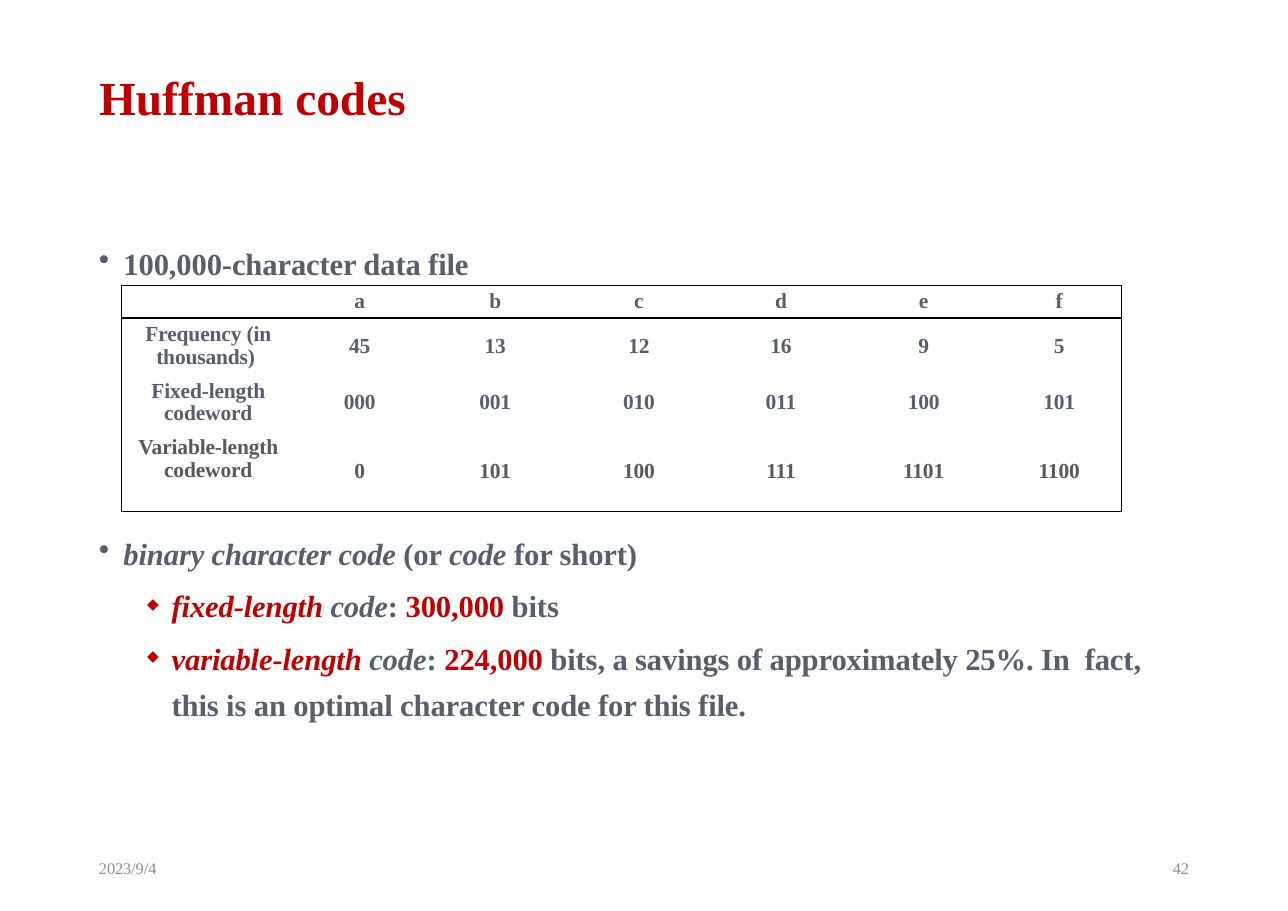
from lxml import etree
from pptx import Presentation
from pptx import util as u
from pptx.dml.color import RGBColor
from pptx.enum import text
from pptx.oxml.ns import qn

COLORS = {"red": "C00000", "slate": "575F6D", "gray": "595959",
          "footer": "8C8C8C", "border": "000000"}


def style_run(run, size, color, bold=True, italic=False, tracking=0):
    """Format a run; tracking is in hundredths of a point."""
    font = run.font
    font.name, font.size = "Times New Roman", u.Pt(size)
    font.bold, font.italic = bold, italic
    font.color.rgb = RGBColor.from_string(COLORS[color])
    if tracking:
        run._r.get_or_add_rPr().set("spc", str(tracking))


presentation = Presentation()
presentation.slide_width, presentation.slide_height = u.Pt(841.7), u.Pt(595.4)
slide = presentation.slides.add_slide(presentation.slide_layouts[5])

# Title
title = slide.shapes.title
title.left, title.top, title.width, title.height = map(u.Pt, (57.6, 18.7, 721.4, 93.6))
title.text_frame.text = "Huffman codes"
title.text_frame.vertical_anchor = text.MSO_ANCHOR.MIDDLE
paragraph = title.text_frame.paragraphs[0]
paragraph.alignment = text.PP_ALIGN.LEFT
paragraph.line_spacing = 0.9
style_run(paragraph.runs[0], 31, "red")

# Date and slide number
for left, label, alignment in ((57.6, "2023/9/4", text.PP_ALIGN.LEFT),
                               (594.7, "42", text.PP_ALIGN.RIGHT)):
    footer = slide.shapes.add_textbox(u.Pt(left), u.Pt(551.5), u.Pt(189.4), u.Pt(31.7))
    footer.text_frame.word_wrap = True
    footer.text_frame.vertical_anchor = text.MSO_ANCHOR.MIDDLE
    footer.text_frame.text = label
    paragraph = footer.text_frame.paragraphs[0]
    paragraph.alignment = alignment
    style_run(paragraph.runs[0], 10.6, "footer", bold=False)

# Bullets: level, space before, runs of (text, color, italic)
# The second bullet's space before leaves room for the table.
bullets = [
    (0, 8.8, [("100,000-character data file", "slate", False)]),
    (0, 159.5, [("binary character code ", "slate", True), ("(or ", "slate", False),
                ("code", "slate", True), (" for short)", "slate", False)]),
    (1, 4.4, [("fixed-length", "red", True), (" code", "slate", True),
              (": ", "slate", False), ("300,000", "red", False),
              (" bits", "slate", False)]),
    (1, 4.4, [("variable-length ", "red", True), ("code", "slate", True),
              (": ", "slate", False), ("224,000", "red", False),
              (" bits, a savings of approximately 25%. In  fact, this is an optimal "
               "character code for this file.", "slate", False)]),
]
body = slide.shapes.add_textbox(u.Pt(57.6), u.Pt(150.5), u.Pt(721.4), u.Pt(379.4))
body.text_frame.word_wrap = True
for index, (level, space_before, runs) in enumerate(bullets):
    paragraph = body.text_frame.add_paragraph() if index else body.text_frame.paragraphs[0]
    paragraph.level = level
    paragraph.line_spacing = 1.25
    paragraph.space_before = u.Pt(space_before)
    properties = paragraph._p.get_or_add_pPr()
    properties.set("marL", str(u.Pt((16, 47.5)[level])))
    properties.set("indent", str(u.Pt(-16)))
    if level:
        etree.SubElement(properties, qn("a:buSzPct"), val="50000")
    etree.SubElement(properties, qn("a:buChar"), char="•◆"[level])
    for words, color, italic in runs:
        run = paragraph.add_run()
        run.text = words
        style_run(run, 20, color, italic=italic, tracking=-10)

# Code table
rows = [
    ["", "a", "b", "c", "d", "e", "f"],
    ["Frequency (in thousands) ", "45", "13", "12", "16", "9", "5"],
    ["Fixed-length codeword", "000", "001", "010", "011", "100", "101"],
    ["Variable-length codeword", "0", "101", "100", "111", "1101", "1100"],
]
column_widths = [113.8, 84.2, 92.9, 95, 90.7, 95.8, 81.4]
row_heights = [20.2, 35.5, 35.5, 52]
last_row, last_column = len(rows) - 1, len(column_widths) - 1
table = slide.shapes.add_table(len(rows), len(column_widths), u.Pt(79.2), u.Pt(186.5),
                               u.Pt(sum(column_widths)), u.Pt(sum(row_heights))).table
table.first_row = table.horz_banding = False
for column, width in zip(table.columns, column_widths):
    column.width = u.Pt(width)
for row, height in zip(table.rows, row_heights):
    row.height = u.Pt(height)

for row_index, row in enumerate(rows):
    for column_index, value in enumerate(row):
        cell = table.cell(row_index, column_index)
        cell.vertical_anchor = text.MSO_ANCHOR.MIDDLE
        cell.margin_left = cell.margin_right = u.Pt(5)
        cell.margin_top = cell.margin_bottom = u.Pt(2.3)
        cell.text_frame.text = value
        paragraph = cell.text_frame.paragraphs[0]
        paragraph.alignment = text.PP_ALIGN.CENTER
        paragraph.line_spacing = 0.96
        for run in paragraph.runs:
            style_run(run, 14, "gray" if row_index == last_row else "slate", tracking=-10)
        if not value:
            etree.SubElement(paragraph._p, qn("a:endParaRPr"), sz="1400")

        borders = {"L": column_index == 0, "R": column_index == last_column,
                   "T": row_index in (0, 1), "B": row_index in (0, last_row)}
        for side, visible in borders.items():
            line = etree.SubElement(cell._tc.get_or_add_tcPr(), qn(f"a:ln{side}"),
                                    w=str(u.Pt(1)))
            if visible:
                fill = etree.SubElement(line, qn("a:solidFill"))
                etree.SubElement(fill, qn("a:srgbClr"), val=COLORS["border"])
            else:
                etree.SubElement(line, qn("a:noFill"))
        cell.fill.background()

# The last row's label sits one line above its centre
table.cell(last_row, 0).margin_bottom = u.Pt(18)

presentation.save("out.pptx")
